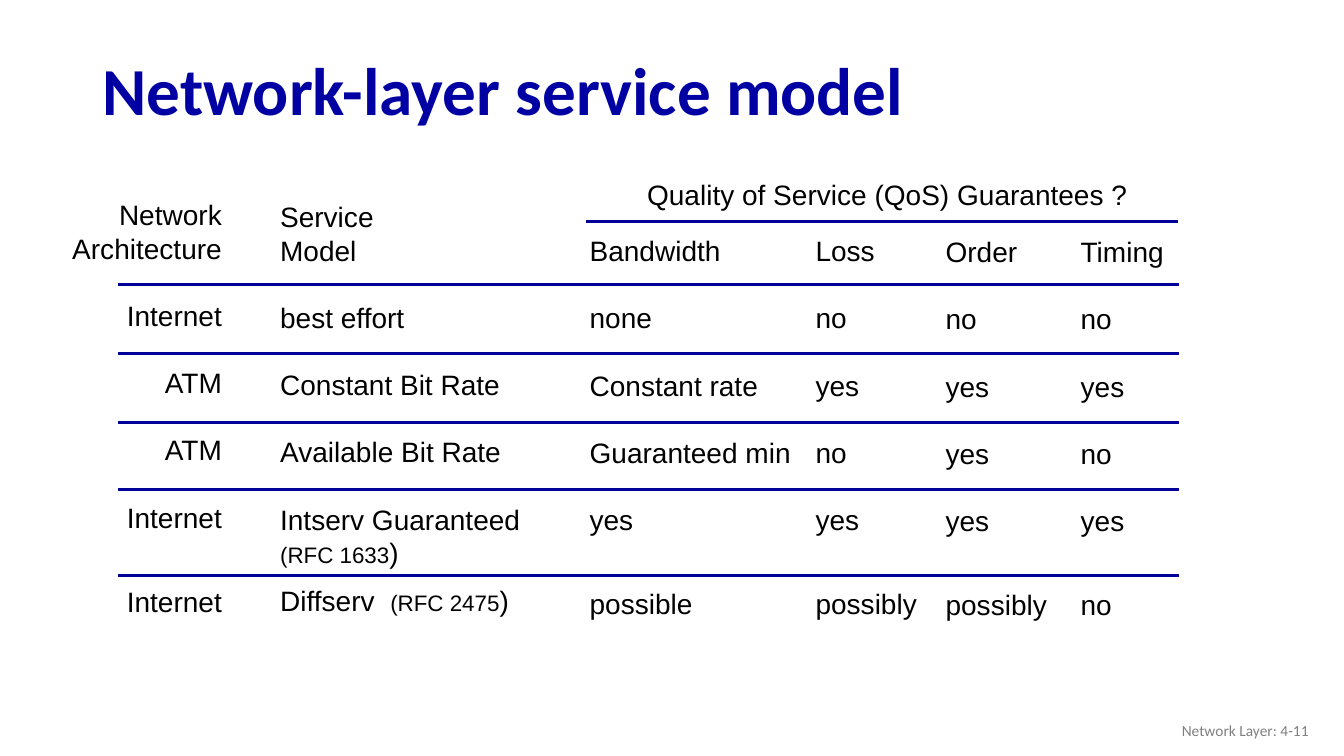
import pptx
import pptx.dml.color
import pptx.enum.shapes
import pptx.enum.text
import pptx.util
from lxml import etree
from pptx.oxml.ns import qn

EMU_PER_PX = 9144
COLORS = {"title": "0000A3", "body": "000000", "rule": "000099", "footer": "808080"}
FONTS = {
    "title": {"name": "Calibri", "size": 48, "bold": True},
    "body": {"name": "Arial", "size": 20},
    "small": {"name": "Arial", "size": 16},
    "footer": {"name": "Calibri", "size": 11},
}
ALIGN = pptx.enum.text.PP_ALIGN
ANCHOR = pptx.enum.text.MSO_ANCHOR
AUTO_SIZE = pptx.enum.text.MSO_AUTO_SIZE

ROW_GAP = 24
LAST_GAP = 36


def px(length):
    return pptx.util.Emu(length * EMU_PER_PX)


class ServiceSlide:
    def __init__(self, presentation):
        self.slide = presentation.slides.add_slide(presentation.slide_layouts[6])

    def run(self, paragraph, text, style):
        run = paragraph.add_run()
        run.text = text
        for attribute, value in FONTS[style].items():
            setattr(run.font, attribute, pptx.util.Pt(value) if attribute == "size" else value)
        color = COLORS.get(style, COLORS["body"])
        run.font.color.rgb = pptx.dml.color.RGBColor.from_string(color)
        return run

    def text(self, box, lines, style="body", align=ALIGN.LEFT, **frame_format):
        """Each line is (space before in points, list of (text, style) runs or a string)."""
        frame = self.slide.shapes.add_textbox(*map(px, box)).text_frame
        for attribute, value in {"word_wrap": True, **frame_format}.items():
            setattr(frame, attribute, value)
        for index, (space, content) in enumerate(lines):
            paragraph = frame.add_paragraph() if index else frame.paragraphs[0]
            paragraph.alignment = align
            paragraph.space_before = pptx.util.Pt(space)
            runs = [(content, style)] if isinstance(content, str) else content
            for words, run_style in runs:
                run = self.run(paragraph, words, run_style)
                if words == " ":
                    run.font._element.set("spc", "556")
        return frame

    def column(self, box, header, cells, align=ALIGN.LEFT, wrap=False):
        """Header lines, then one cell per service with an even row gap."""
        gaps = [ROW_GAP] * (len(cells) - 1) + [LAST_GAP]
        lines = [(0, line) for line in header] + list(zip(gaps, cells))
        self.text(box, lines, align=align, word_wrap=wrap,
                  auto_size=AUTO_SIZE.SHAPE_TO_FIT_TEXT)

    def rule(self, left, right, y):
        line = self.slide.shapes.add_connector(
            pptx.enum.shapes.MSO_CONNECTOR.STRAIGHT, px(left), px(y), px(right), px(y))
        line.line.width = pptx.util.Pt(2.25)
        line.line.color.rgb = pptx.dml.color.RGBColor.from_string(COLORS["rule"])
        etree.SubElement(line._element.spPr, qn("a:effectLst"))


def main():
    presentation = pptx.Presentation()
    presentation.slide_width, presentation.slide_height = px(1333), px(750)
    page = ServiceSlide(presentation)

    title = page.text((92, 44, 1150, 98), [(0, "Network-layer service model")], "title",
                      vertical_anchor=ANCHOR.MIDDLE)
    title.paragraphs[0].line_spacing = 0.9

    page.column((60, 191, 170, 431), ["Network", "Architecture"],
                ["Internet", "ATM", "ATM", "Internet", "Internet"], ALIGN.RIGHT)

    service_lines = [
        (0, "Service"),
        (0, "Model"),
        (ROW_GAP, "best effort"),
        (ROW_GAP, "Constant Bit Rate"),
        (ROW_GAP, "Available Bit Rate"),
        (ROW_GAP, "Intserv Guaranteed"),
        (0, [("(RFC 1633", "small"), (")", "body")]),
        (10, [("Diffserv", "body"), (" ", "body"), ("(RFC 2475", "small"), (")", "body")]),
    ]
    page.text((268, 193, 289, 428), service_lines, auto_size=AUTO_SIZE.SHAPE_TO_FIT_TEXT)

    page.column((575, 227, 234, 397), ["Bandwidth"],
                ["none", "Constant rate", "Guaranteed min", "yes", "possible"], wrap=True)
    guarantees = [
        ((799, 227, 122, 397), "Loss", ["no", "yes", "no", "yes", "possibly"]),
        ((928, 228, 122, 397), "Order", ["no", "yes", "yes", "yes", "possibly"]),
        ((1062, 228, 103, 397), "Timing", ["no", "yes", "no", "yes", "no"]),
    ]
    for box, header, cells in guarantees:
        page.column(box, [header], cells)

    page.text((632, 171, 500, 44), [(0, "Quality of Service (QoS) Guarantees ?")],
              word_wrap=False, auto_size=AUTO_SIZE.SHAPE_TO_FIT_TEXT)

    page.rule(581, 1168, 220)
    for row_y in (282, 351, 419, 486, 571):
        page.rule(117, 1169, row_y)

    page.text((1008, 705, 300, 40), [(0, "Network Layer: 4-11")], "footer", ALIGN.RIGHT,
              vertical_anchor=ANCHOR.MIDDLE)

    presentation.save("out.pptx")


if __name__ == "__main__":
    main()
